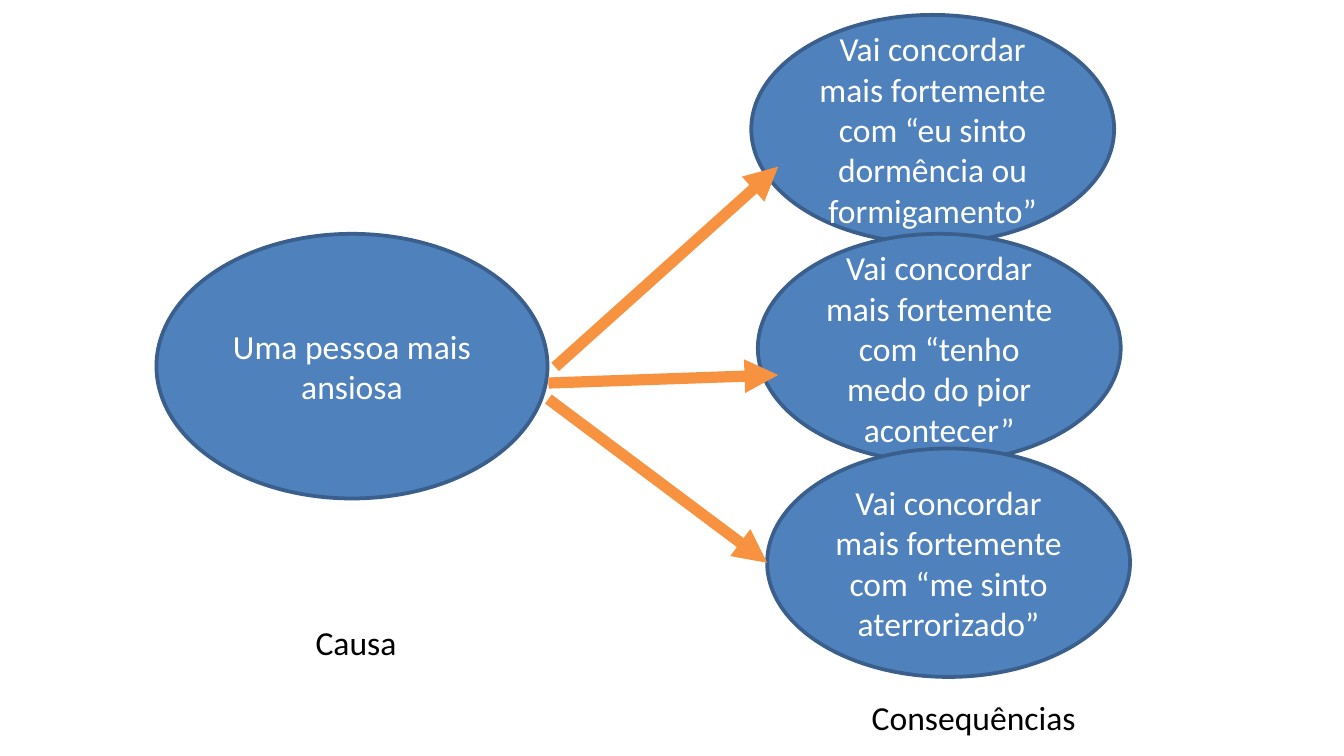
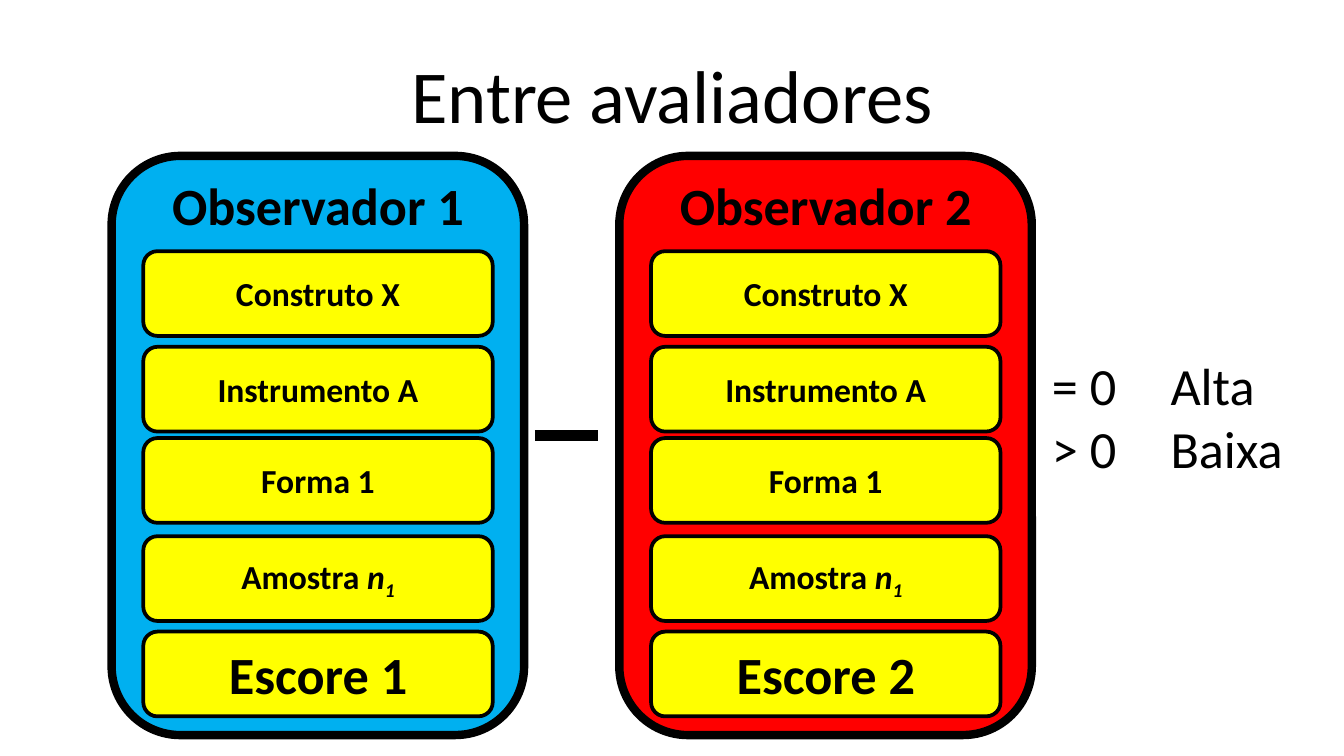
from pptx import Presentation
from pptx.dml.color import RGBColor
from pptx.enum import shapes, text
from pptx.oxml import parse_xml
from pptx.oxml.ns import nsdecls, qn
from pptx.util import Pt

THEME = {
    "font": "Calibri",
    "body": 18, "heading": 28, "title": 40,
    "outline": 2, "panel outline": 4.5, "link": 6,
    "black": RGBColor.from_string("000000"),
    "white": RGBColor.from_string("FFFFFF"),
    "blue": RGBColor.from_string("4F81BD"),
    "navy": RGBColor.from_string("3A5F8C"),
    "orange": RGBColor.from_string("F69240"),
    "sky": RGBColor.from_string("00B0F0"),
    "red": RGBColor.from_string("FF0000"),
    "yellow": RGBColor.from_string("FFFF00"),
}
CENTER, LEFT = text.PP_ALIGN.CENTER, text.PP_ALIGN.LEFT
OVAL = shapes.MSO_SHAPE.OVAL
ROUNDED = shapes.MSO_SHAPE.ROUNDED_RECTANGLE


def add_figure(page, kind, place, fill, line, weight="outline"):
    figure = page.shapes.add_shape(kind, *map(Pt, place))
    figure.shadow.inherit = False
    figure.fill.solid()
    figure.fill.fore_color.rgb = THEME[fill]
    figure.line.color.rgb = THEME[line]
    figure.line.width = Pt(THEME[weight])
    return figure


def write(box, lines, size="body", color="black", align=CENTER, bold=False):
    frame = box.text_frame
    for index, spans in enumerate(lines):
        para = frame.paragraphs[0] if index == 0 else frame.add_paragraph()
        para.alignment = align
        for words, extra in spans:
            span = para.add_run()
            span.text = words
            span.font.color.rgb = THEME[color]
            values = {"name": THEME["font"], "size": Pt(THEME[size]), "bold": bold}
            for name, value in (values | extra).items():
                setattr(span.font, name, value)
    return para


deck = Presentation()
deck.slide_width, deck.slide_height = Pt(720), Pt(405)
blank = deck.slide_layouts[6]
cause_page = deck.slides.add_slide(blank)
rater_page = deck.slides.add_slide(blank)

ovals = [
    ((83.8, 125.3, 209.5, 141.8), "Uma pessoa mais ansiosa"),
    ((402.5, 8, 194.4, 122.4),
     "Vai concordar mais fortemente com “eu sinto dormência ou formigamento”"),
    ((406, 125.3, 194.4, 122.4),
     "Vai concordar mais fortemente com “tenho medo do pior acontecer”"),
    ((411, 240.3, 194.4, 122.4),
     "Vai concordar mais fortemente com “me sinto aterrorizado”"),
]
for place, words in ovals:
    oval = add_figure(cause_page, OVAL, place, "blue", "navy")
    write(oval, [[(words, {})]], color="white")

panel_left, panel_step, panel_width = 59.8, 272, 221
card_inset, card_width = 17, 187.2
card_tops = [134.6, 185.8, 234.7, 287.3, 338.4]
headings = []
for index, fill in enumerate(["sky", "red"]):
    left = panel_left + index * panel_step
    add_figure(rater_page, ROUNDED, (left, 83.5, panel_width, 310.3),
               fill, "black", "panel outline")
    headings.append(((left + card_inset, 89.3, card_width, 51),
                     [f"Observador {index + 1}"]))
    cards = [
        ([("Construto X", {})], "body"),
        ([("Instrumento A", {})], "body"),
        ([("Forma 1", {})], "body"),
        ([("Amostra ", {}), ("n", {"italic": True}), ("1", {"italic": True})], "body"),
        ([(f"Escore {index + 1}", {})], "heading"),
    ]
    for top, (spans, size) in zip(card_tops, cards):
        card = add_figure(rater_page, ROUNDED,
                          (left + card_inset, top, card_width, 45.4),
                          "yellow", "black")
        para = write(card, [spans], size, bold=True)
        if len(spans) > 1:
            para.runs[-1]._r.get_or_add_rPr().set("baseline", "-25000")

labels = [
    (cause_page, (149, 329.8, 83.5, 33), ["Causa"], "body", CENTER, False),
    (cause_page, (456.5, 370, 130.3, 33), ["Consequências"], "body", CENTER, False),
    (rater_page, (36, 16.5, 648, 67.7), ["Entre avaliadores"], "title", CENTER, False),
    (rater_page, (556.5, 185.8, 64, 115.2), ["= 0", "> 0"], "heading", LEFT, False),
    (rater_page, (620, 185.8, 85.7, 115.2), ["Alta", "Baixa"], "heading", LEFT, False),
]
labels += [(rater_page, place, lines, "heading", CENTER, True)
           for place, lines in headings]
for page, place, lines, size, align, bold in labels:
    box = page.shapes.add_textbox(*map(Pt, place))
    box.text_frame.word_wrap = size == "title"
    if size == "title":
        box.text_frame.vertical_anchor = text.MSO_ANCHOR.MIDDLE
    write(box, [[(line, {})] for line in lines], size, align=align, bold=bold)

links = [
    (cause_page, (297.4, 196.6, 416.9, 89.3), "orange", True),
    (cause_page, (293.8, 205.2, 416.9, 200.9), "orange", True),
    (cause_page, (293.8, 213.8, 411, 301.5), "orange", True),
    (rater_page, (286.6, 233.3, 320.4, 233.3), "black", False),
]
for page, ends, color, arrow in links:
    link = page.shapes.add_connector(shapes.MSO_CONNECTOR.STRAIGHT, *map(Pt, ends))
    link.line.color.rgb = THEME[color]
    link.line.width = Pt(THEME["link"])
    properties = link._element.spPr
    if arrow:
        properties.find(qn("a:ln")).append(
            parse_xml(f'<a:tailEnd {nsdecls("a")} type="triangle"/>'))
    properties.append(parse_xml(f'<a:effectLst {nsdecls("a")}/>'))

deck.save("out.pptx")
